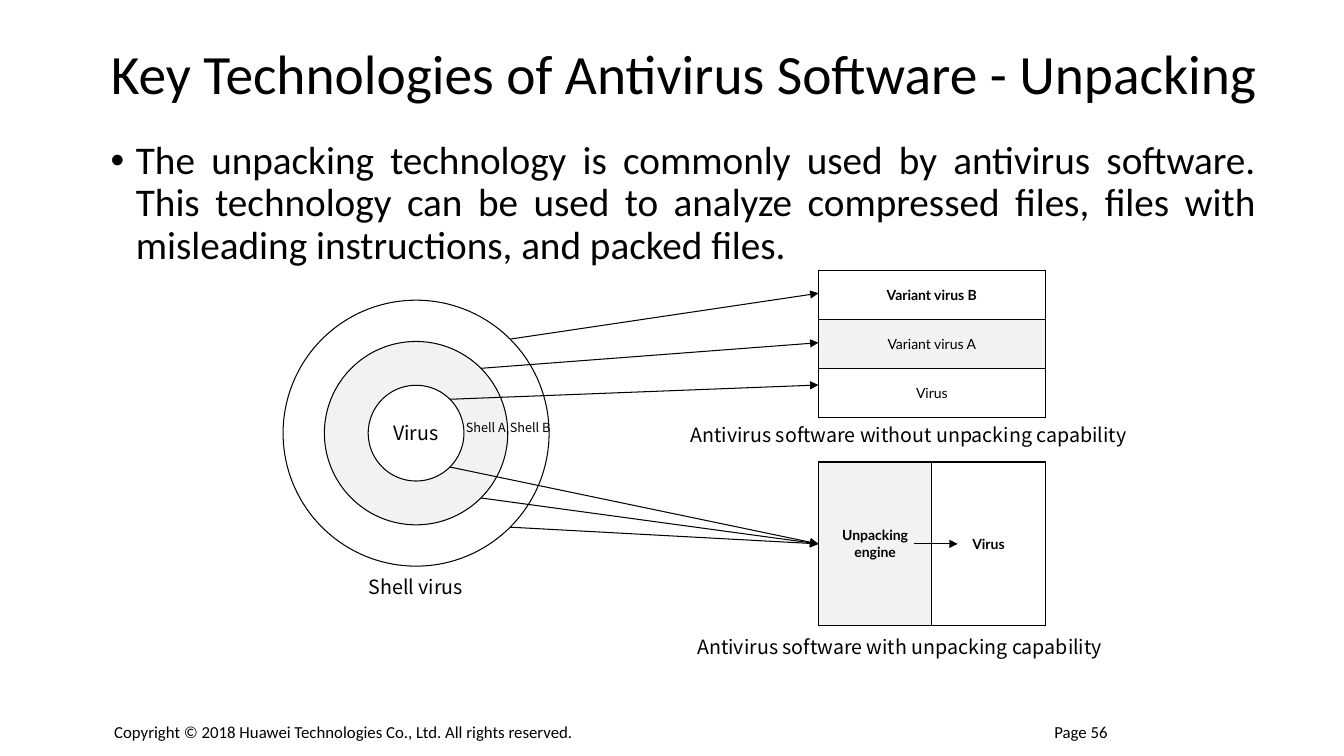
"""Build the slide on unpacking as an antivirus technology."""
from dataclasses import dataclass
from math import sqrt

from lxml import etree
from pptx import Presentation
from pptx import util as u
from pptx.dml.color import RGBColor
from pptx.enum import shapes, text
from pptx.oxml.ns import qn


@dataclass(frozen=True)
class Theme:
    ink: RGBColor = RGBColor(0, 0, 0)
    paper: RGBColor = RGBColor(255, 255, 255)
    shade: RGBColor = RGBColor(0xF2, 0xF2, 0xF2)
    main_font: str = "Calibri"
    label_font: str = "Noto Sans CJK SC"
    table_font: str = "Lato"
    title: float = 39.6
    body: float = 28
    caption: float = 14
    footer: float = 12
    cell: float = 10
    shell: float = 9
    line: float = 0.75
    border: float = 1


theme = Theme()
align = text.PP_ALIGN


def write(frame, wording, size, font, alignment=align.CENTER, bold=False):
    """Put one formatted paragraph into a text frame and return it."""
    frame.text = wording
    para = frame.paragraphs[0]
    para.alignment = alignment
    for span in para.runs:
        span.font.size = u.Pt(size)
        span.font.name = font
        span.font.bold = bold
        span.font.color.rgb = theme.ink
    return para


def draw_arrow(start, end):
    """Draw a thin line that ends in a triangle."""
    arrow = page.shapes.add_connector(
        shapes.MSO_CONNECTOR.STRAIGHT, *[u.Pt(value) for value in (*start, *end)])
    arrow.line.color.rgb = theme.ink
    arrow.line.width = u.Pt(theme.line)
    etree.SubElement(arrow.line._get_or_add_ln(), qn("a:tailEnd"), type="triangle")
    etree.SubElement(arrow._element.spPr, qn("a:effectLst"))


deck = Presentation()
deck.slide_width, deck.slide_height = u.Pt(960), u.Pt(540)
page = deck.slides.add_slide(deck.slide_layouts[5])

title = page.shapes.title
title.left, title.top, title.width, title.height = [u.Pt(v) for v in (72, 21, 888, 68)]
para = write(title.text_frame, "Key Technologies of Antivirus Software - Unpacking",
             theme.title, theme.main_font, align.LEFT)
para.line_spacing = 0.9
title.text_frame.auto_size = text.MSO_AUTO_SIZE.NONE
title.text_frame.vertical_anchor = text.MSO_ANCHOR.MIDDLE

body = page.shapes.add_textbox(u.Pt(72), u.Pt(97), u.Pt(832), u.Pt(100))
body.text_frame.word_wrap = True
para = write(
    body.text_frame,
    "The unpacking technology is commonly used by antivirus software. This technology "
    "can be used to analyze compressed files, files with misleading instructions, "
    "and packed files.", theme.body, theme.main_font, align.JUSTIFY)
para.line_spacing = 0.9
properties = para._p.get_or_add_pPr()
properties.set("marL", str(u.Pt(18)))
properties.set("indent", str(u.Pt(-18)))
etree.SubElement(properties, qn("a:buFont"), typeface="Arial")
etree.SubElement(properties, qn("a:buChar"), char="•")

center_x, center_y = 297.2, 309.4
radii = {"Shell B": 95, "Shell A": 65.5, "Virus": 34.2}
ring_fills = {"Shell B": theme.paper, "Shell A": theme.shade, "Virus": theme.paper}
for name, radius in radii.items():
    ring = page.shapes.add_shape(
        shapes.MSO_SHAPE.OVAL, u.Pt(center_x - radius), u.Pt(center_y - radius),
        u.Pt(2 * radius), u.Pt(2 * radius))
    ring.shadow.inherit = False
    ring.fill.solid()
    ring.fill.fore_color.rgb = ring_fills[name]
    ring.line.color.rgb = theme.ink
    ring.line.width = u.Pt(theme.line)
ring.text_frame.word_wrap = False
ring.text_frame.vertical_anchor = text.MSO_ANCHOR.MIDDLE
write(ring.text_frame, "Virus", theme.caption, theme.label_font)

table_left, table_width = 584.6, 162
variants_top, variant_height = 193.5, 35
engine_top, engine_height = 330, 117
tables = [
    (variants_top, variant_height, [
        [("Variant virus B", theme.paper, True)],
        [("Variant virus A", theme.shade, False)],
        [("Virus", theme.paper, False)]]),
    (engine_top, engine_height, [
        [("Unpacking engine", theme.shade, True), ("Virus", theme.paper, True)]]),
]
for top, row_height, rows in tables:
    column_count = len(rows[0])
    table = page.shapes.add_table(
        len(rows), column_count, u.Pt(table_left), u.Pt(top),
        u.Pt(table_width), u.Pt(row_height * len(rows))).table
    table.first_row = table.horz_banding = False
    for row_index, row in enumerate(rows):
        for column_index, (wording, fill, bold) in enumerate(row):
            cell = table.cell(row_index, column_index)
            write(cell.text_frame, wording, theme.cell, theme.table_font, bold=bold)
            cell.vertical_anchor = text.MSO_ANCHOR.MIDDLE
            cell_properties = cell._tc.get_or_add_tcPr()
            for side in ("lnL", "lnR", "lnT", "lnB"):
                border = etree.SubElement(cell_properties, qn(f"a:{side}"),
                                          w=str(u.Pt(theme.border)))
                solid = etree.SubElement(border, qn("a:solidFill"))
                etree.SubElement(solid, qn("a:srgbClr"), val=str(theme.ink))
            cell.fill.solid()
            cell.fill.fore_color.rgb = fill

engine_middle = engine_top + engine_height / 2
variant_ends = {"Shell B": 209.5, "Shell A": 244.8, "Virus": 275}
for name, radius in radii.items():
    offset = radius / sqrt(2)
    draw_arrow((center_x + offset, center_y - offset), (table_left, variant_ends[name]))
    draw_arrow((center_x + offset, center_y + offset), (table_left, engine_middle))
draw_arrow((653, engine_middle), (684, engine_middle))

labels = [
    ("Shell A", 324, 296.6, 46, theme.shell, theme.label_font, align.CENTER),
    ("Shell B", 355.6, 296.6, 46, theme.shell, theme.label_font, align.CENTER),
    ("Antivirus software with unpacking capability", 485.3, 450, 315,
     theme.caption, theme.label_font, align.CENTER),
    ("Antivirus software without unpacking capability", 480.2, 298.8, 338,
     theme.caption, theme.label_font, align.CENTER),
    ("Shell virus", 255, 406.8, 84, theme.caption, theme.label_font, align.CENTER),
    ("Copyright © 2018 Huawei Technologies Co., Ltd. All rights reserved.",
     74.5, 512, 380, theme.footer, theme.main_font, align.LEFT),
    ("Page 56", 746, 512, 60, theme.footer, theme.main_font, align.LEFT),
]
for wording, left, top, width, size, font, alignment in labels:
    label = page.shapes.add_textbox(u.Pt(left), u.Pt(top), u.Pt(width), u.Pt(size + 9))
    label.text_frame.word_wrap = False
    write(label.text_frame, wording, size, font, alignment)

deck.save("out.pptx")
